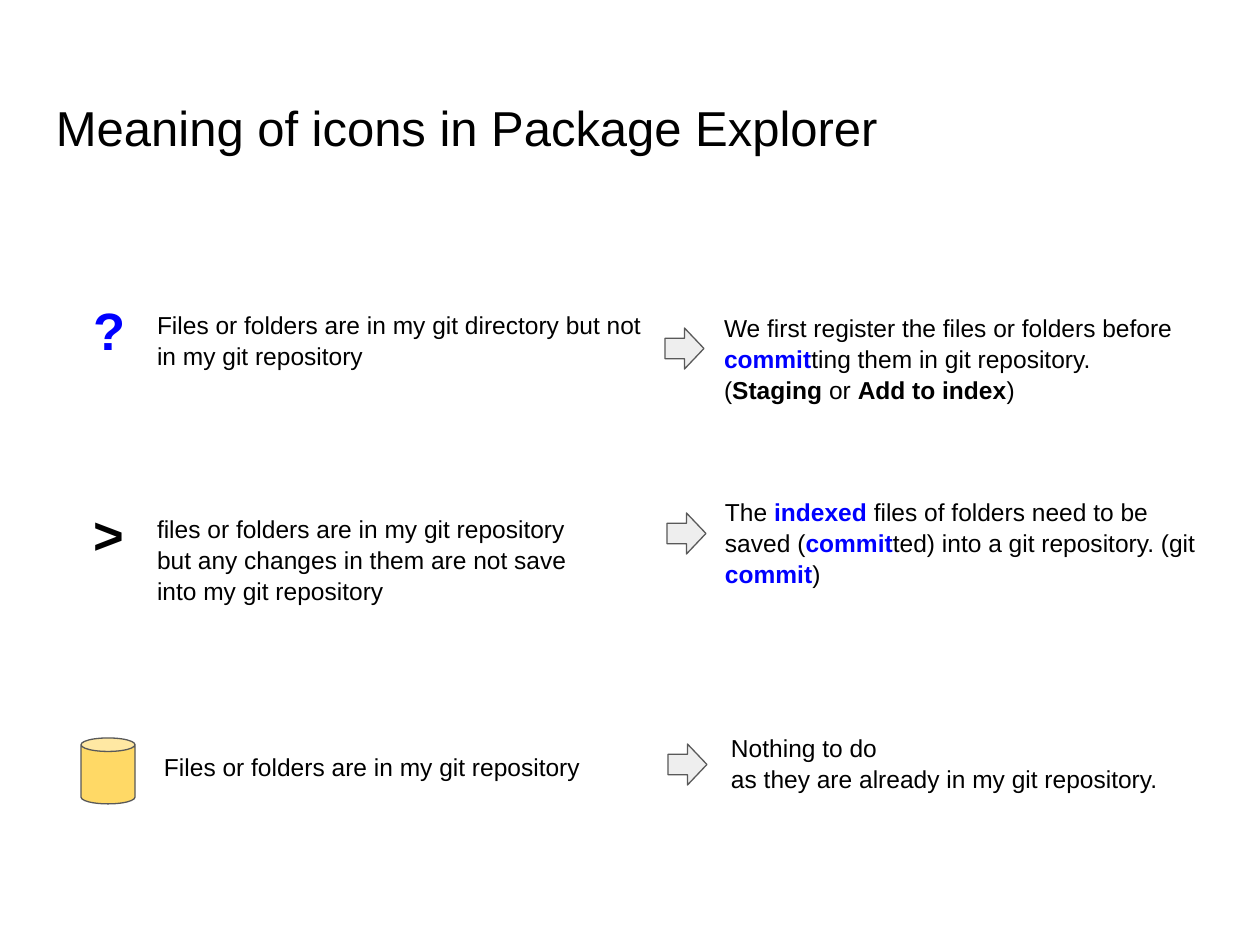
from dataclasses import dataclass

from pptx import Presentation
from pptx.dml.color import RGBColor
from pptx.enum.shapes import MSO_SHAPE as Shape
from pptx.enum.text import MSO_ANCHOR as Anchor
from pptx.util import Emu, Pt


@dataclass(frozen=True)
class Theme:
    font: str = "Arial"
    ink: str = "000000"
    accent: str = "0000FF"
    outline: str = "595959"
    arrow: str = "EEEEEE"
    repository: str = "FFD966"
    title: int = 28
    symbol: int = 30
    body: int = 14
    line_width: float = 0.75
    line_spacing: float = 1.05


THEME = Theme()
SCALE = 914400 / 126
INSET = 13
PLAIN, BOLD, KEY = (False, THEME.ink), (True, THEME.ink), (True, THEME.accent)

TITLE = "Meaning of icons in Package Explorer"
ROWS = [
    {
        "symbol": [("?", KEY)],
        "symbol_box": (81, 282, 60, 91),
        "meaning": "Files or folders are in my git directory but not in my git repository",
        "meaning_box": (144, 296, 512, 66),
        "action": [
            ("We first register the files or folders before ", PLAIN),
            ("commit", KEY),
            ("ting them in git repository.\v(", PLAIN),
            ("Staging", BOLD),
            (" or ", PLAIN),
            ("Add to index", BOLD),
            (")", PLAIN),
        ],
        "action_box": (711, 299, 512, 102),
        "arrow": (665, 328),
    },
    {
        "symbol": [(">", BOLD)],
        "symbol_box": (81, 486, 60, 91),
        "meaning": "files or folders are in my git repository but any changes "
                   "in them are not save into my git repository",
        "meaning_box": (144, 500, 472, 66),
        "action": [
            ("The ", PLAIN),
            ("indexed ", KEY),
            ("files of folders need to be saved (", PLAIN),
            ("commit", KEY),
            ("ted) into a git repository. (git ", PLAIN),
            ("commit", KEY),
            (")", PLAIN),
        ],
        "action_box": (712, 483, 512, 102),
        "arrow": (667, 513),
    },
    {
        "can_box": (81, 738, 54, 66),
        "meaning": "Files or folders are in my git repository",
        "meaning_box": (151, 738, 512, 66),
        "action": "Nothing to do\nas they are already in my git repository.",
        "action_box": (718, 719, 457, 102),
        "arrow": (668, 744),
    },
]
ARROW_SIZE = (39, 41)


def px(value):
    return Emu(round(value * SCALE))


def add_text(page, content, place, size=THEME.body):
    frame = page.shapes.add_textbox(*map(px, place)).text_frame
    frame.word_wrap = True
    frame.vertical_anchor = Anchor.TOP
    frame.margin_left = frame.margin_right = px(INSET)
    frame.margin_top = frame.margin_bottom = px(INSET)
    if isinstance(content, str):
        paragraphs = [[(line, PLAIN)] for line in content.split("\n")]
    else:
        paragraphs = [content]
    for index, spans in enumerate(paragraphs):
        para = frame.add_paragraph() if index else frame.paragraphs[0]
        para.line_spacing = THEME.line_spacing
        for text, (bold, color) in spans:
            for part, piece in enumerate(text.split("\v")):
                if part:
                    para.add_line_break()
                span = para.add_run()
                span.text = piece
                span.font.name = THEME.font
                span.font.size = Pt(size)
                span.font.bold = bold
                span.font.color.rgb = RGBColor.from_string(color)


def add_icon(page, kind, place, fill):
    icon = page.shapes.add_shape(kind, *map(px, place))
    icon.shadow.inherit = False
    icon.fill.solid()
    icon.fill.fore_color.rgb = RGBColor.from_string(fill)
    icon.line.color.rgb = RGBColor.from_string(THEME.outline)
    icon.line.width = Pt(THEME.line_width)


def main():
    deck = Presentation()
    deck.slide_width, deck.slide_height = px(1260), px(945)
    page = deck.slides.add_slide(deck.slide_layouts[6])
    add_text(page, TITLE, (43, 82, 1174, 105), size=THEME.title)
    for row in ROWS:
        if "symbol" in row:
            add_text(page, row["symbol"], row["symbol_box"], size=THEME.symbol)
        else:
            add_icon(page, Shape.CAN, row["can_box"], THEME.repository)
        add_text(page, row["meaning"], row["meaning_box"])
        add_icon(page, Shape.RIGHT_ARROW, row["arrow"] + ARROW_SIZE, THEME.arrow)
        add_text(page, row["action"], row["action_box"])
    deck.save("out.pptx")


if __name__ == "__main__":
    main()
